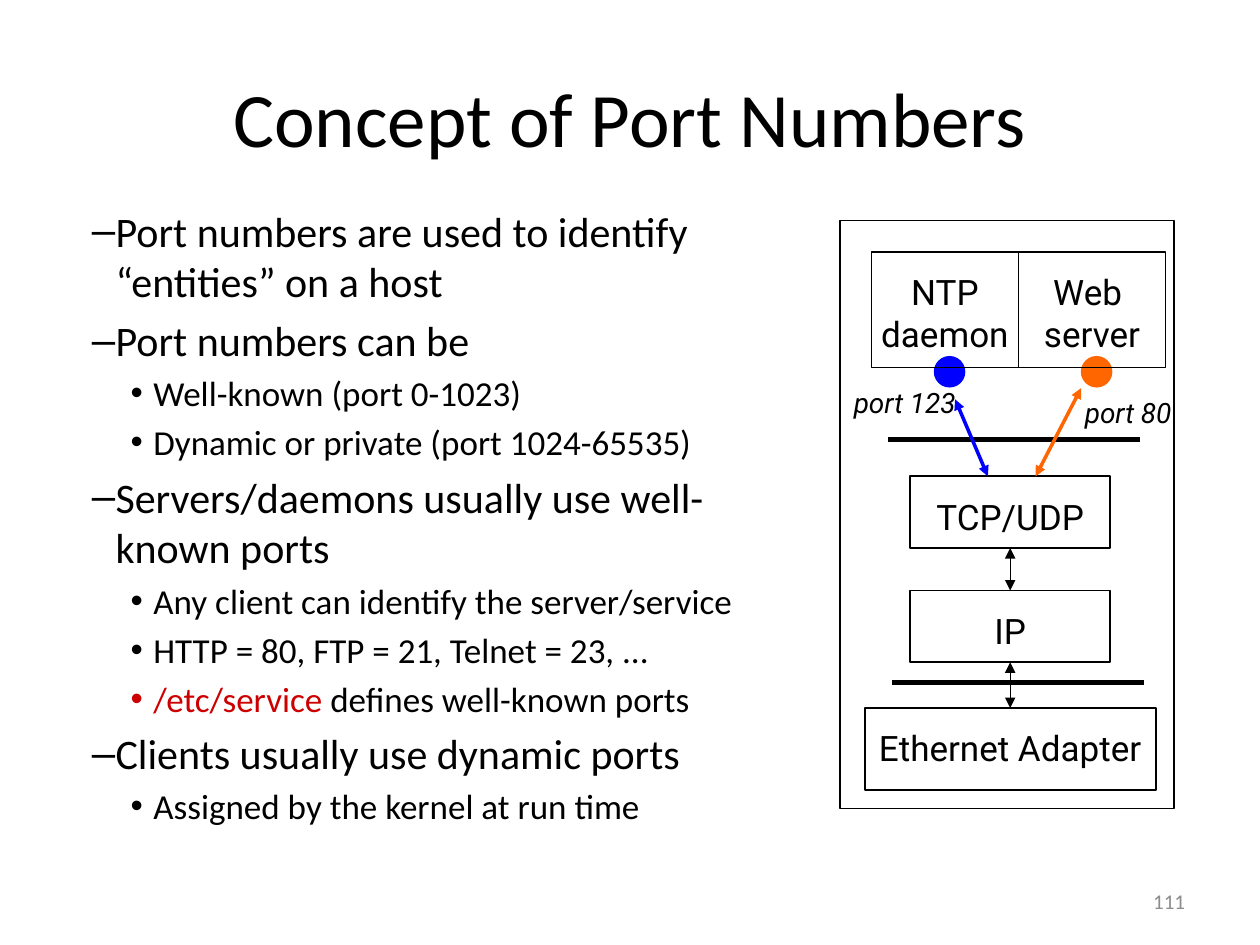
from dataclasses import dataclass

from lxml import etree
from pptx import Presentation
from pptx.dml.color import RGBColor
from pptx.enum import shapes, text
from pptx.oxml import ns
from pptx.util import Pt


@dataclass(frozen=True)
class Theme:
    body_font: str = "Calibri"
    diagram_font: str = "Roboto"
    black: str = "000000"
    gray: str = "8C8C8C"
    red: str = "CC0000"
    blue: str = "0000FF"
    orange: str = "FF6600"
    title_size: int = 44
    level_sizes: tuple = (24, 20)
    box_size: int = 20
    port_size: int = 16
    number_size: int = 12


THEME = Theme()
TITLE_BOX = (36, 21.6, 648, 90)
BODY_BOX = (36, 113.75, 426, 378)
HOST_BOX = (480, 126, 191, 336)
NUMBER_BOX = (516.25, 500.4, 168, 28.8)

# Left indent, hanging indent and bullet of each level
LEVELS = ((23, -13.5, "–"), (44.6, -13, "•"))
BULLETS = (
    (1, ("Port numbers are used to identify “entities” on a host",)),
    (1, ("Port numbers can be",)),
    (2, ("Well-known (port 0-1023)",)),
    (2, ("Dynamic or private (port 1024-65535)",)),
    (1, ("Servers/daemons usually use well-known ports",)),
    (2, ("Any client can identify the server/service",)),
    (2, ("HTTP = 80, FTP = 21, Telnet = 23, ...",)),
    (2, ("/etc/service", " defines well-known ports")),
    (1, ("Clients usually use dynamic ports",)),
    (2, ("Assigned by the kernel at run time",)),
)


def points(values):
    return [Pt(value) for value in values]


def format_run(run, font, size, color=THEME.black, italic=False):
    run.font.name = font
    run.font.size = Pt(size)
    run.font.color.rgb = RGBColor.from_string(color)
    if italic:
        run.font.italic = True


def write(frame, content, font, size, color=THEME.black, align="LEFT", italic=False):
    frame.text = content
    for paragraph in frame.paragraphs:
        paragraph.alignment = getattr(text.PP_ALIGN, align)
        for run in paragraph.runs:
            format_run(run, font, size, color, italic)


def set_margins(frame, horizontal, vertical):
    frame.margin_left = frame.margin_right = Pt(horizontal)
    frame.margin_top = frame.margin_bottom = Pt(vertical)


def add_outline(slide, kind, box, width, line=THEME.black, fill=None):
    shape = slide.shapes.add_shape(kind, *points(box))
    shape.shadow.inherit = False
    if fill:
        shape.fill.solid()
        shape.fill.fore_color.rgb = RGBColor.from_string(fill)
    else:
        shape.fill.background()
    shape.line.color.rgb = RGBColor.from_string(line)
    shape.line.width = Pt(width)
    return shape


def add_labelled_box(slide, box, label):
    shape = add_outline(slide, shapes.MSO_SHAPE.RECTANGLE, box, 1)
    frame = shape.text_frame
    frame.word_wrap = False
    frame.vertical_anchor = text.MSO_ANCHOR.TOP
    set_margins(frame, 7.2, 10.8)
    write(frame, label, THEME.diagram_font, THEME.box_size, align="CENTER")
    return shape


def add_line(slide, start, end, width, color=THEME.black, arrows=False):
    connector = slide.shapes.add_connector(
        shapes.MSO_CONNECTOR.STRAIGHT, *points((*start, *end)))
    connector.line.color.rgb = RGBColor.from_string(color)
    connector.line.width = Pt(width)
    if arrows:
        line = connector.line._get_or_add_ln()
        for tag in ("a:headEnd", "a:tailEnd"):
            etree.SubElement(line, ns.qn(tag), type="triangle")
    etree.SubElement(connector._element.spPr, ns.qn("a:effectLst"))
    return connector


def join_boxes(slide, upper, lower):
    """Link the bottom of one box to the top of the next with a two-way arrow."""
    connector = add_line(slide, (0, 0), (0, 0), 0.75, arrows=True)
    connector.begin_connect(upper, 2)
    connector.end_connect(lower, 0)


def set_bullet(paragraph, level):
    left, hanging, character = LEVELS[level - 1]
    paragraph.level = level
    properties = paragraph._p.get_or_add_pPr()
    properties.set("marL", str(Pt(left)))
    properties.set("indent", str(Pt(hanging)))
    spacing = etree.SubElement(properties, ns.qn("a:spcBef"))
    etree.SubElement(spacing, ns.qn("a:spcPct"), val="20000")
    etree.SubElement(properties, ns.qn("a:buFont"), typeface="Arial")
    etree.SubElement(properties, ns.qn("a:buChar"), char=character)


def add_title(slide, box):
    title = slide.shapes.title
    title.left, title.top, title.width, title.height = points(box)
    title.text_frame.vertical_anchor = text.MSO_ANCHOR.MIDDLE
    write(title.text_frame, "Concept of Port Numbers", THEME.body_font,
          THEME.title_size, align="CENTER")


def add_bullets(slide, box):
    frame = slide.shapes.add_textbox(*points(box)).text_frame
    frame.word_wrap = True
    for index, (level, parts) in enumerate(BULLETS):
        paragraph = frame.add_paragraph() if index else frame.paragraphs[0]
        set_bullet(paragraph, level)
        for part in parts:
            run = paragraph.add_run()
            run.text = part
            color = THEME.red if part == "/etc/service" else THEME.black
            format_run(run, THEME.body_font, THEME.level_sizes[level - 1], color)


def add_port(slide, dot, label, label_box, arrow, color):
    add_outline(slide, shapes.MSO_SHAPE.OVAL, (*dot, 17.3, 17.3), 0.75, color, color)
    add_line(slide, *arrow, 2, color, arrows=True)
    frame = slide.shapes.add_textbox(*points(label_box)).text_frame
    frame.word_wrap = False
    set_margins(frame, 7.9, 4.3)
    write(frame, label, THEME.diagram_font, THEME.port_size, italic=True)


def add_host_stack(slide, box):
    left, top, width, height = box
    center = left + 97.25

    def at(x, y):
        return left + x, top + y

    add_outline(slide, shapes.MSO_SHAPE.RECTANGLE, box, 0.75)
    layers = (("TCP/UDP", 146.2, 114.5, 41), ("IP", 211.5, 114.5, 41),
              ("Ethernet Adapter", 278.6, 166.3, 46.8))
    stack = [
        add_labelled_box(
            slide, (center - layer_width / 2, top + y, layer_width, layer_height), label)
        for label, y, layer_width, layer_height in layers
    ]
    for upper, lower in zip(stack, stack[1:]):
        join_boxes(slide, upper, lower)

    for x, y in ((27.6, 125.2), (30, 264.2)):
        add_line(slide, at(x, y), at(x + 144, y), 3)

    add_port(slide, at(54, 77.8), "port 123", (*at(0, 90), 75, 27.4),
             (at(65.8, 102.2), at(84.5, 146.2)), THEME.blue)
    add_port(slide, at(138, 77.8), "port 80", (*at(132, 95.8), 65.5, 27.4),
             (at(137.8, 95.8), at(111.8, 146.2)), THEME.orange)
    for column, label in enumerate(("NTP\ndaemon", "Web \vserver")):
        add_labelled_box(slide, (*at(18 + 84 * column, 18), 84, 66), label)


def add_slide_number(slide, box):
    frame = slide.shapes.add_textbox(*points(box)).text_frame
    frame.word_wrap = True
    frame.vertical_anchor = text.MSO_ANCHOR.MIDDLE
    write(frame, "111", THEME.body_font, THEME.number_size, THEME.gray, "RIGHT")


def main():
    presentation = Presentation()
    presentation.slide_width, presentation.slide_height = points((720, 540))
    slide = presentation.slides.add_slide(presentation.slide_layouts[5])
    add_title(slide, TITLE_BOX)
    add_bullets(slide, BODY_BOX)
    add_host_stack(slide, HOST_BOX)
    add_slide_number(slide, NUMBER_BOX)
    presentation.save("out.pptx")


if __name__ == "__main__":
    main()
